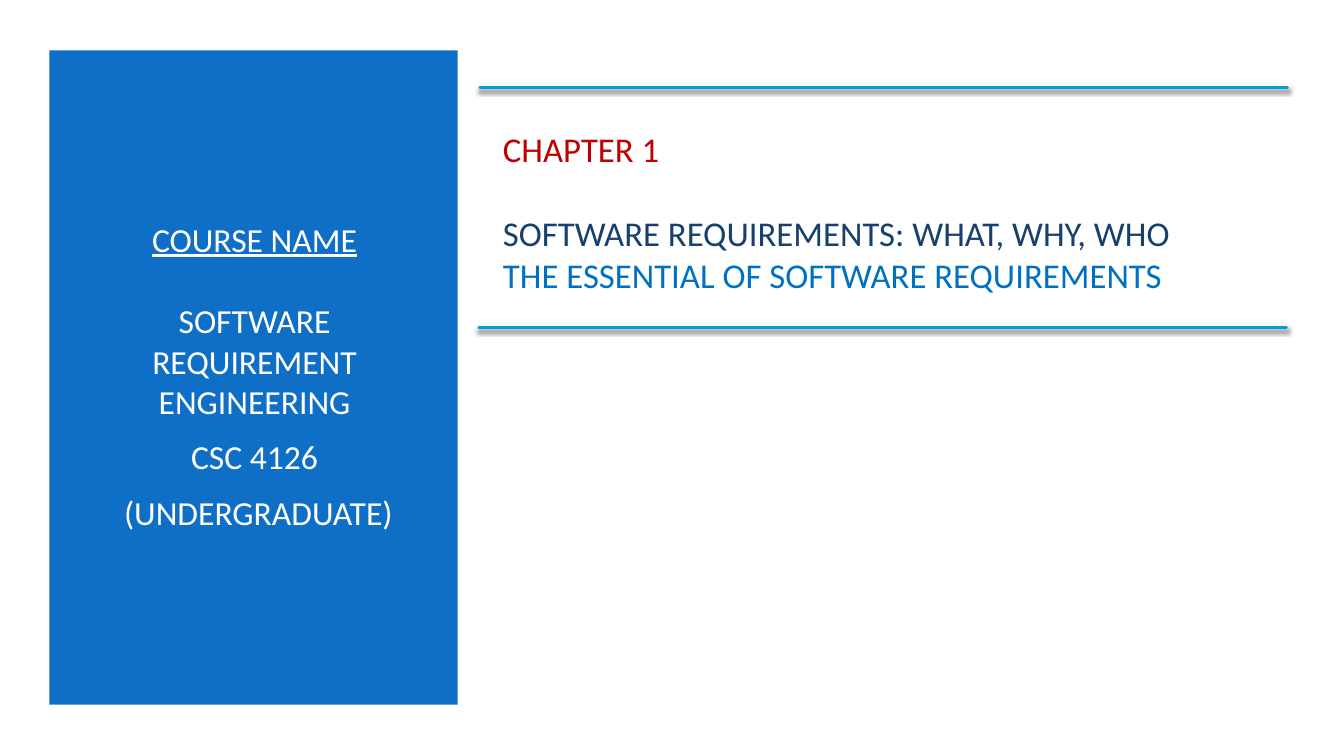
from lxml import etree
from pptx import Presentation
from pptx.dml.color import RGBColor
from pptx.enum import shapes, text
from pptx.oxml import parse_xml
from pptx.util import Inches, Pt

COLORS = {
    "panel": "0F6FC6", "white": "FFFFFF", "rule": "009DD9", "shadow": "000000",
    "chapter": "C00000", "title": "17406D", "subtitle": "0070C0",
}
FONT = "Calibri"

# Paragraph: space before, space after, lines; line: wording, color, underlined
COURSE = [
    (4.8, 29.3, [("COURSE NAME", "white", True)]),
    (0, 6, [("SOFTWARE REQUIREMENT ENGINEERING", "white", False)]),
    (4.8, 6, [("CSC 4126", "white", False)]),
    (4.8, 6, [(" (UNDERGRADUATE)", "white", False)]),
]
CHAPTER = [
    (0, 30.3, [("CHAPTER 1", "chapter", False)]),
    (0, 0, [("SOFTWARE REQUIREMENTS: WHAT, WHY, WHO", "title", False),
            ("THE ESSENTIAL OF SOFTWARE REQUIREMENTS", "subtitle", False)]),
]
PANEL = (0.49, 0.5, 4.05, 6.49)
COURSE_BOX = (0.84, 1.1, 3.37, 5.25)
CHAPTER_BOX = (4.89, 1.1, 7.85, 2)
RULES = [(4.76, 0.87), (4.75, 3.25)]
RULE_LENGTH = 8.01

DRAWING_NS = "http://schemas.openxmlformats.org/drawingml/2006/main"
RULE_SHADOW = f"""<a:effectLst xmlns:a="{DRAWING_NS}">
<a:outerShdw blurRad="{Pt(3)}" dist="{Pt(2)}" dir="5400000" rotWithShape="0">
<a:srgbClr val="{COLORS['shadow']}"><a:alpha val="55000"/></a:srgbClr>
</a:outerShdw></a:effectLst>"""


def color(name):
    return RGBColor.from_string(COLORS[name])


def add_panel(slide):
    panel = slide.shapes.add_shape(shapes.MSO_SHAPE.RECTANGLE, *map(Inches, PANEL))
    panel.shadow.inherit = False
    panel.fill.solid()
    panel.fill.fore_color.rgb = color("panel")
    panel.line.fill.background()


def add_wording(slide, box, paragraphs, size, align):
    frame = slide.shapes.add_textbox(*map(Inches, box)).text_frame
    frame.word_wrap = True
    frame.vertical_anchor = text.MSO_ANCHOR.MIDDLE
    for i, (before, after, lines) in enumerate(paragraphs):
        paragraph = frame.add_paragraph() if i else frame.paragraphs[0]
        paragraph.alignment = align
        paragraph.space_before, paragraph.space_after = Pt(before), Pt(after)
        for j, (wording, tone, underlined) in enumerate(lines):
            if j:
                paragraph.add_line_break()
            run = paragraph.add_run()
            run.text = wording
            run.font.name, run.font.size = FONT, Pt(size)
            run.font.underline = underlined
            run.font.color.rgb = color(tone)


def add_rule(slide, left, top):
    rule = slide.shapes.add_connector(
        shapes.MSO_CONNECTOR.STRAIGHT,
        *map(Inches, (left, top, left + RULE_LENGTH, top)))
    rule.line.color.rgb = color("rule")
    rule.line.width = Pt(2)
    properties = rule._element.spPr
    properties.find(etree.QName(DRAWING_NS, "ln")).set("cap", "rnd")
    properties.append(parse_xml(RULE_SHADOW))


def main():
    deck = Presentation()
    deck.slide_width, deck.slide_height = Inches(13.33), Inches(7.5)
    slide = deck.slides.add_slide(deck.slide_layouts[6])
    add_panel(slide)
    add_wording(slide, COURSE_BOX, COURSE, 24, text.PP_ALIGN.CENTER)
    add_wording(slide, CHAPTER_BOX, CHAPTER, 24.8, text.PP_ALIGN.LEFT)
    for left, top in RULES:
        add_rule(slide, left, top)
    deck.save("out.pptx")


if __name__ == "__main__":
    main()
